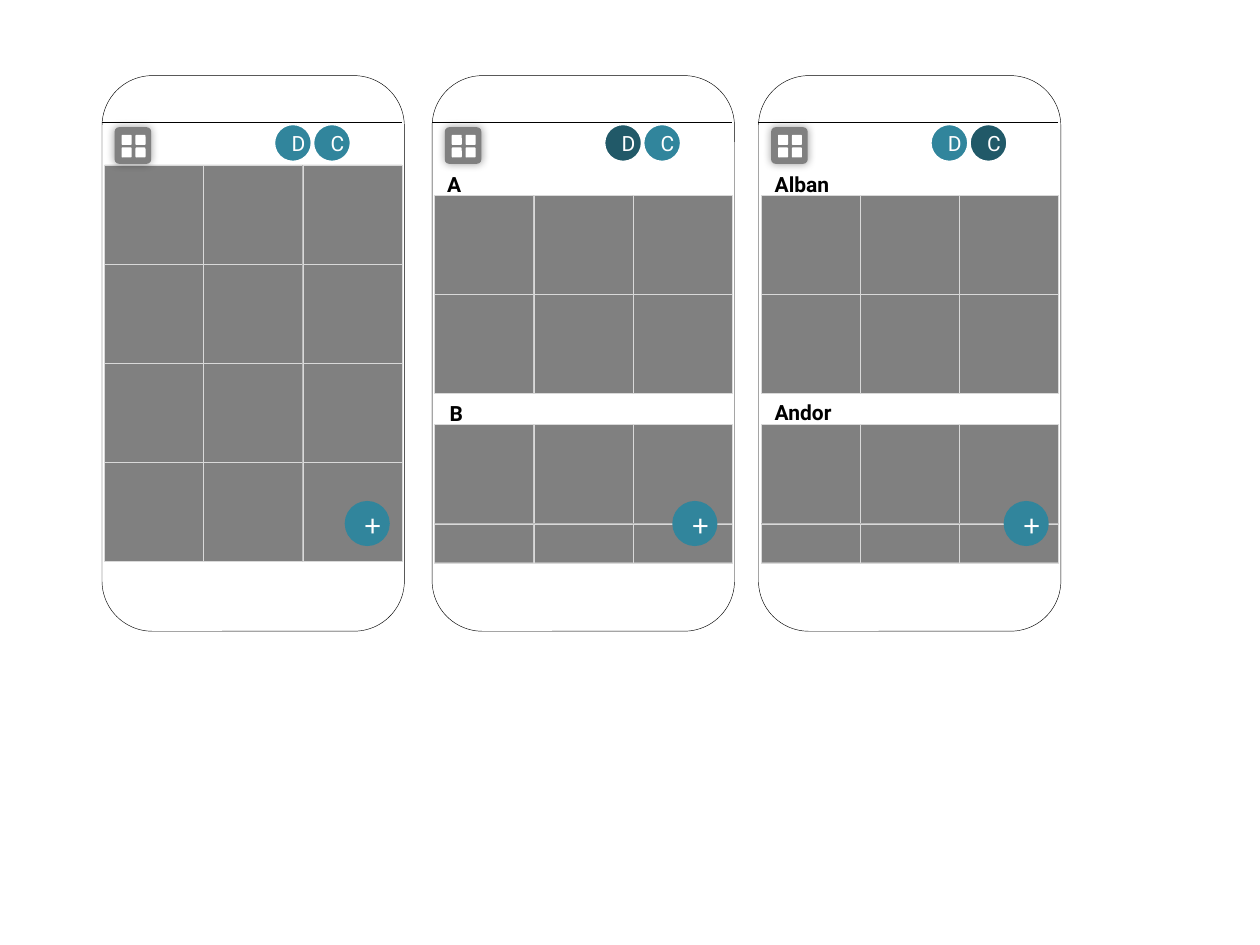
from pptx import Presentation
from pptx.dml.color import RGBColor
from pptx.enum.shapes import MSO_CONNECTOR, MSO_SHAPE
from pptx.enum.text import MSO_ANCHOR, MSO_AUTO_SIZE, PP_ALIGN
from pptx.oxml import parse_xml
from pptx.oxml.ns import nsdecls
from pptx.util import Inches, Pt

TEAL, DARK_TEAL, GRAY, WHITE, BLACK = "31859C", "215968", "808080", "FFFFFF", "000000"
TILE = 2.36 / 3
BUTTON_FONT = {"name": "Roboto", "size": Pt(12), "bold": False}
PLUS_FONT = {"name": "Calibri", "size": Pt(18), "bold": False}
HEADING_FONT = {"name": "Roboto", "size": Pt(12), "bold": True}

FULL_GRID = [(1.31 + row * TILE, TILE) for row in range(4)]
GROUPED_GRID = [(1.55, TILE), (1.55 + TILE, TILE), (3.37, TILE), (3.37 + TILE, 0.31)]
PHONES = [
    {"left": 0.81, "rows": FULL_GRID, "active": None, "headings": [], "plus": 2.75},
    {"left": 3.43, "rows": GROUPED_GRID, "active": "D", "plus": 5.35,
     "headings": [("A", 3.45, 1.31, 0.53), ("B", 3.47, 3.13, 0.53)]},
    {"left": 6.02, "rows": GROUPED_GRID, "active": "C", "plus": 7.98,
     "headings": [("Alban", 6.05, 1.31, 1.17), ("Andor", 6.05, 3.12, 1.08)]},
]


def color(value):
    return RGBColor.from_string(value)


def add_box(group, kind, left, top, width, height, fill, line=None, weight=0.25):
    box = group.shapes.add_shape(
        kind, Inches(left), Inches(top), Inches(width), Inches(height))
    box.shadow.inherit = False
    box.fill.solid()
    box.fill.fore_color.rgb = color(fill)
    if line:
        box.line.color.rgb = color(line)
        box.line.width = Pt(weight)
    else:
        box.line.fill.background()
    return box


def write_text(box, text, font, text_color):
    para = box.text_frame.paragraphs[0]
    span = para.add_run()
    span.text = text
    for name, value in font.items():
        setattr(span.font, name, value)
    span.font.color.rgb = color(text_color)
    return para


def add_button(group, text, left, top, size, fill, line, font):
    button = add_box(group, MSO_SHAPE.OVAL, left, top, size, size, fill, line, 2)
    button.text_frame.vertical_anchor = MSO_ANCHOR.MIDDLE
    para = write_text(button, text, font, WHITE)
    para.alignment = PP_ALIGN.CENTER


def add_heading(group, text, left, top, width):
    box = group.shapes.add_textbox(Inches(left), Inches(top), Inches(width), Inches(0.3))
    box.text_frame.word_wrap = True
    box.text_frame.auto_size = MSO_AUTO_SIZE.SHAPE_TO_FIT_TEXT
    write_text(box, text, HEADING_FONT, BLACK)


def add_divider(group, left, top, width):
    divider = group.shapes.add_connector(
        MSO_CONNECTOR.STRAIGHT, Inches(left), Inches(top), Inches(left + width), Inches(top))
    divider.line.color.rgb = color(BLACK)
    divider.line.width = Pt(0.75)
    divider._element.spPr.append(parse_xml(f"<a:effectLst {nsdecls('a')}/>"))


def add_grid_icon(group, left, top):
    icon = add_box(group, MSO_SHAPE.ROUNDED_RECTANGLE, left, top, 0.29, 0.29, GRAY)
    icon.adjustments[0] = 0.12
    effects = icon._element.spPr.find(
        "{http://schemas.openxmlformats.org/drawingml/2006/main}effectLst")
    effects.append(parse_xml(
        f'<a:outerShdw {nsdecls("a")} blurRad="{Pt(5)}" dist="0" dir="0" rotWithShape="0">'
        f'<a:srgbClr val="{BLACK}"><a:alpha val="40000"/></a:srgbClr></a:outerShdw>'))
    for row in range(2):
        for column in range(2):
            square = add_box(group, MSO_SHAPE.ROUNDED_RECTANGLE, left + 0.055 + column * 0.11,
                             top + 0.06 + row * 0.1, 0.08, 0.08, WHITE)
            square.adjustments[0] = 0.1


def add_phone(page, left, rows, active, headings, plus):
    group = page.shapes.add_group_shape()
    add_box(group, MSO_SHAPE.ROUNDED_RECTANGLE, left, 0.6, 2.4, 4.41, WHITE, BLACK)
    for top, height in rows:
        for column in range(3):
            add_box(group, MSO_SHAPE.RECTANGLE, left + 0.02 + column * TILE, top,
                    TILE, height, GRAY, "D9D9D9")
    for index, letter in enumerate("DC"):
        fill = DARK_TEAL if letter == active else TEAL
        add_button(group, letter, left + 1.36 + index * 0.31, 0.98, 0.31,
                   fill, WHITE, BUTTON_FONT)
    add_divider(group, left, 0.97, 2.38)
    add_grid_icon(group, left + 0.1, 1.01)
    for heading in headings:
        add_heading(group, *heading)
    add_button(group, "+", plus, 3.99, 0.33, TEAL, TEAL, PLUS_FONT)


def main():
    deck = Presentation()
    deck.slide_width, deck.slide_height = Inches(10), Inches(7.5)
    page = deck.slides.add_slide(deck.slide_layouts[6])
    for phone in PHONES:
        add_phone(page, **phone)
    deck.save("out.pptx")


if __name__ == "__main__":
    main()
